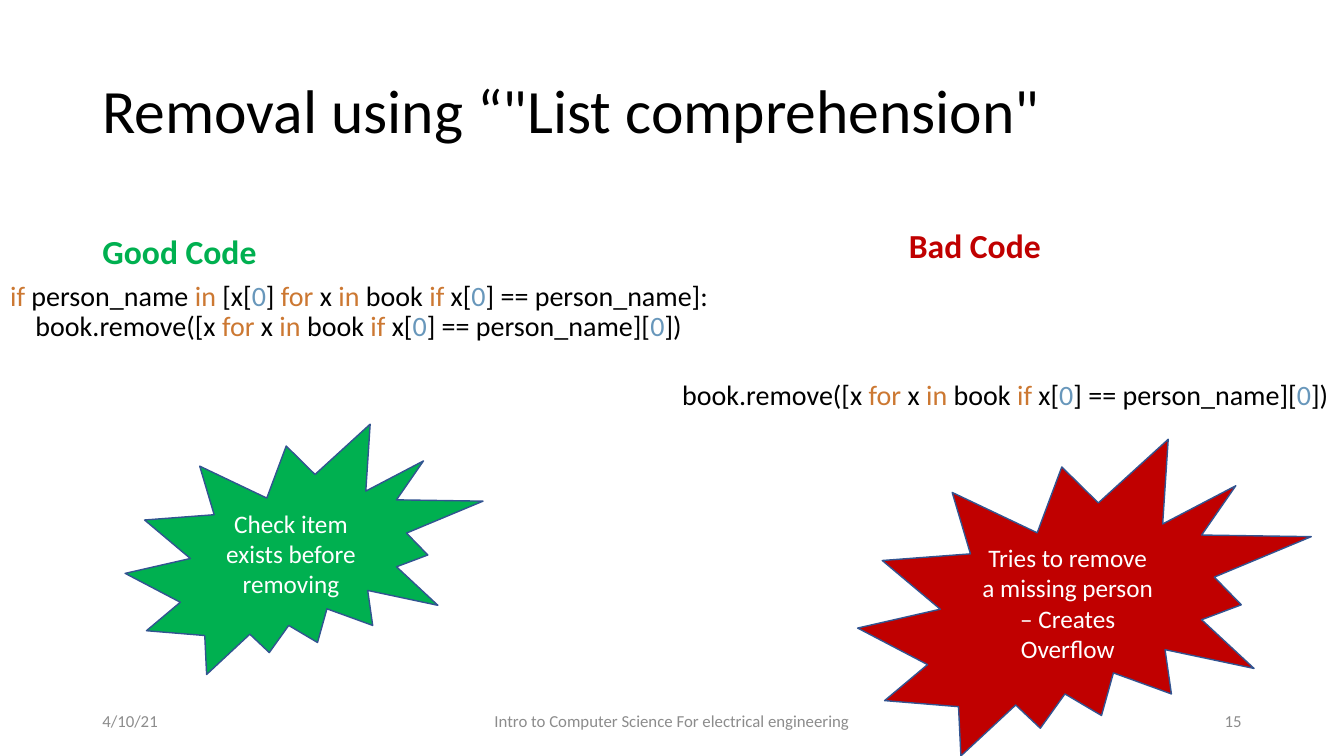
import pptx
import pptx.dml.color
import pptx.enum.shapes
import pptx.enum.text
import pptx.oxml
import pptx.util

RGBColor = pptx.dml.color.RGBColor
ALIGN = pptx.enum.text.PP_ALIGN
ANCHOR = pptx.enum.text.MSO_ANCHOR

BLACK = RGBColor(0x00, 0x00, 0x00)
WHITE = RGBColor(0xFF, 0xFF, 0xFF)
GREEN = RGBColor(0x00, 0xB0, 0x50)
RED = RGBColor(0xC0, 0x00, 0x00)
GRAY = RGBColor(0x8C, 0x8C, 0x8C)
OUTLINE = RGBColor(0x32, 0x54, 0x91)
KEYWORD = RGBColor(0xCC, 0x78, 0x32)
NUMBER = RGBColor(0x68, 0x97, 0xBB)
TOKEN_COLORS = {"if": KEYWORD, "for": KEYWORD, "in": KEYWORD, "0": NUMBER}

# Content; boxes are (column, row, columns, rows) on a 160 by 90 grid
COLUMNS, ROWS = 160, 90
TITLE = ("Removal using “\"List comprehension\"", (11, 4.8, 138, 17.4))

# Code lines have "|" between coloured tokens
REMOVE_LINE = "book.remove([x |for |x |in |book |if |x[|0|] == person_name][|0|])"
CHECK_LINE = "if |person_name |in |[x[|0|] |for |x |in |book |if |x[|0|] == person_name]:"

# Heading placeholder, heading, box, colour
HEADINGS = [
    (1, "Good Code", (11, 22.1, 67.7, 10.8), GREEN),
    (3, "Bad Code", (107, 21.4, 52.2, 10.8), RED),
]
# Code placeholder, lines, box
CODE = [
    (2, [CHECK_LINE, "    " + REMOVE_LINE], (0, 33, 87.8, 17.6)),
    (4, [REMOVE_LINE], (80, 44.8, 80, 8)),
]
BURSTS = [
    ("Tries to remove a missing person – Creates Overflow", (102.1, 52.3, 54, 37.7), RED),
    ("Check item exists before removing", (14.9, 50.5, 42.6, 29.8), GREEN),
]
# Text, first column, column count, alignment
FOOTER_ROW, FOOTER_HEIGHT = 83.4, 4.8
FOOTER = [
    ("4/10/21", 11, 36, ALIGN.LEFT),
    ("Intro to Computer Science For electrical engineering", 53, 54, ALIGN.CENTER),
    ("15", 113, 36, ALIGN.RIGHT),
]

presentation = pptx.Presentation()
presentation.slide_width = pptx.util.Inches(13.33)
presentation.slide_height = pptx.util.Inches(7.5)
slide = presentation.slides.add_slide(presentation.slide_layouts[4])


def place(box):
    column, row, width, height = box
    across = presentation.slide_width / COLUMNS
    down = presentation.slide_height / ROWS
    return [int(v) for v in (column * across, row * down, width * across, height * down)]


def move(shape, box):
    shape.left, shape.top, shape.width, shape.height = place(box)


def add_run(paragraph, text, size, color, bold=False):
    run = paragraph.add_run()
    run.text = text
    run.font.name = "Calibri"
    run.font.size = pptx.util.Pt(size)
    run.font.color.rgb = color
    run.font.bold = bold


def prepare(shape, anchor, align, spacing=1.0):
    frame = shape.text_frame
    frame.word_wrap = True
    frame.auto_size = pptx.enum.text.MSO_AUTO_SIZE.NONE
    frame.vertical_anchor = anchor
    paragraph = frame.paragraphs[0]
    paragraph.alignment = align
    paragraph.line_spacing = spacing
    paragraph.space_before = pptx.util.Pt(0)
    return paragraph


def remove_bullet(paragraph):
    properties = paragraph._p.get_or_add_pPr()
    properties.set("marL", "0")
    properties.set("indent", "0")
    properties.append(pptx.oxml.parse_xml(
        '<a:buNone xmlns:a="http://schemas.openxmlformats.org/drawingml/2006/main"/>'))


# Title
text, box = TITLE
move(slide.shapes.title, box)
add_run(prepare(slide.shapes.title, ANCHOR.MIDDLE, ALIGN.LEFT, 0.9), text, 44, BLACK)

# Headings
for index, text, box, color in HEADINGS:
    heading = slide.placeholders[index]
    move(heading, box)
    add_run(prepare(heading, ANCHOR.BOTTOM, ALIGN.LEFT, 0.9), text, 24, color, True)

# Code with coloured tokens
for index, lines, box in CODE:
    code = slide.placeholders[index]
    move(code, box)
    paragraph = prepare(code, ANCHOR.TOP, ALIGN.LEFT, 0.9)
    remove_bullet(paragraph)
    for number, line in enumerate(lines):
        if number:
            paragraph.add_line_break()
        for token in line.split("|"):
            add_run(paragraph, token, 20, TOKEN_COLORS.get(token.strip(), BLACK))

# Footer
for text, column, width, align in FOOTER:
    footer = slide.shapes.add_textbox(*place((column, FOOTER_ROW, width, FOOTER_HEIGHT)))
    add_run(prepare(footer, ANCHOR.MIDDLE, align), text, 12, GRAY)

# Bursts
for text, box, color in BURSTS:
    burst = slide.shapes.add_shape(pptx.enum.shapes.MSO_SHAPE.EXPLOSION2, *place(box))
    burst.shadow.inherit = False
    burst.fill.solid()
    burst.fill.fore_color.rgb = color
    burst.line.color.rgb = OUTLINE
    burst.line.width = pptx.util.Pt(1)
    add_run(prepare(burst, ANCHOR.MIDDLE, ALIGN.CENTER), text, 18, WHITE)

presentation.save("out.pptx")
